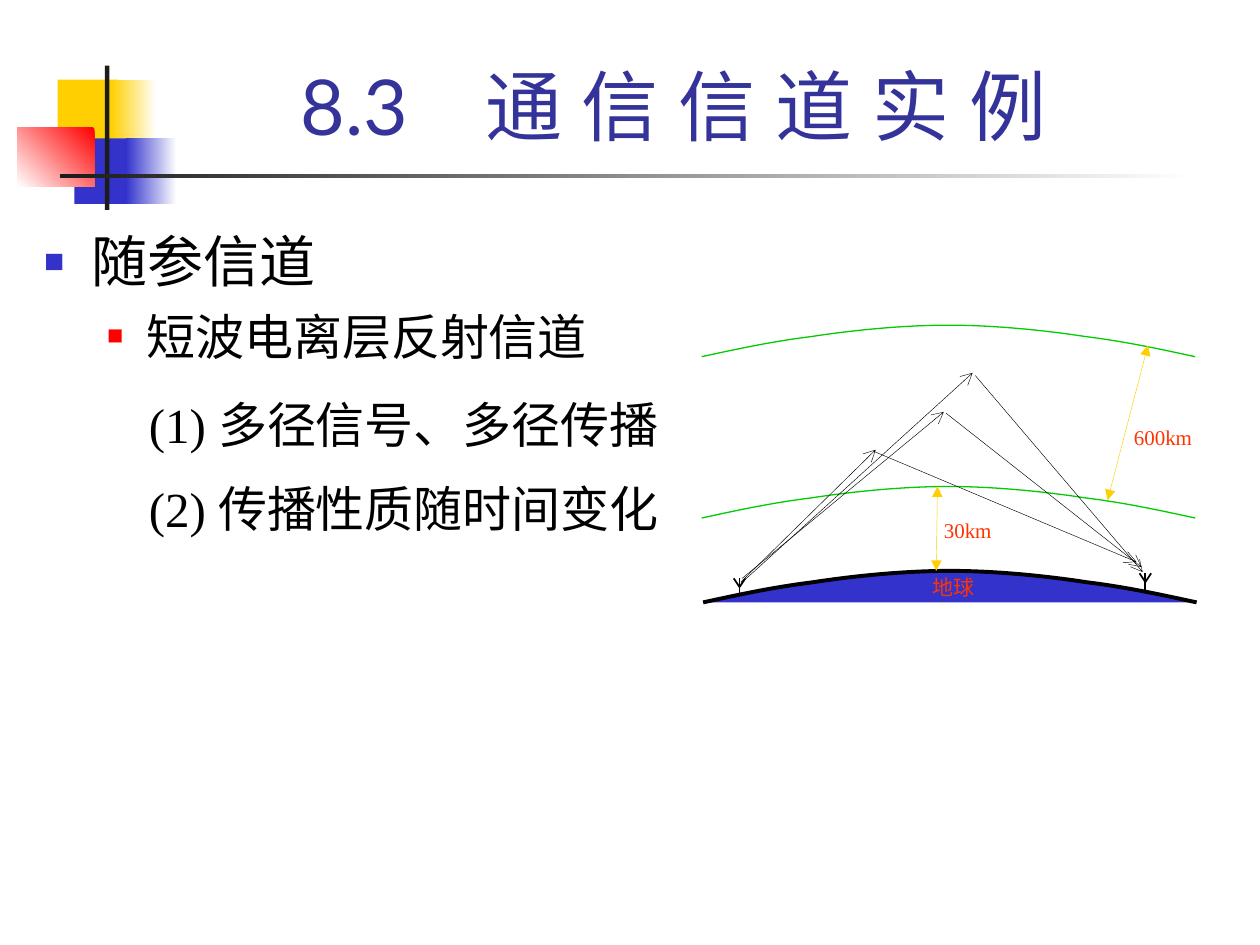
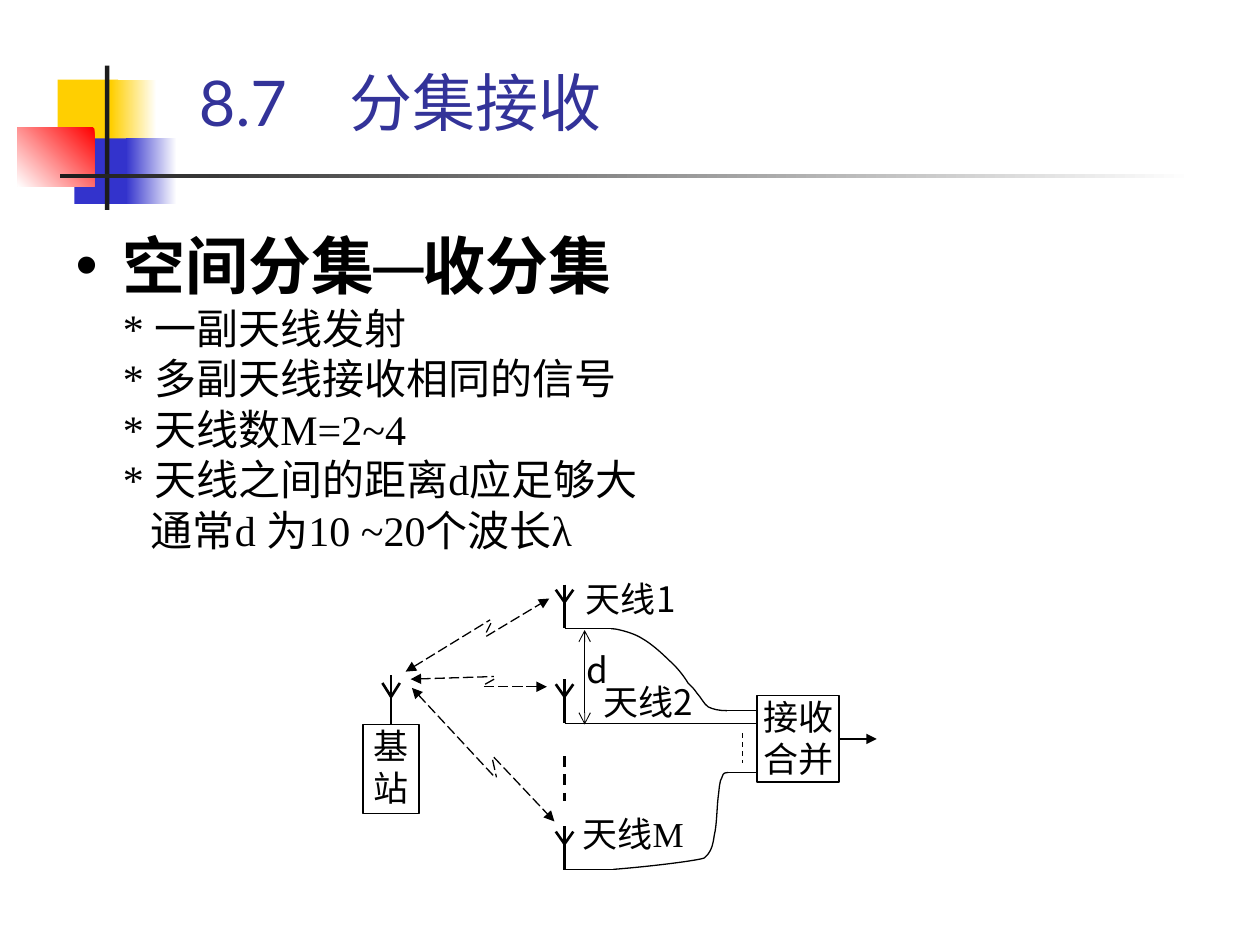
from lxml.etree import SubElement
from pptx import Presentation
from pptx.dml.color import RGBColor
from pptx.enum.dml import MSO_LINE
from pptx.enum.shapes import MSO_CONNECTOR, MSO_SHAPE
from pptx.enum.text import MSO_ANCHOR, MSO_AUTO_SIZE, PP_ALIGN
from pptx.oxml.ns import qn
from pptx.util import Pt

COLORS = {
    "title": "333399", "text": "000000", "blue": "3333CC", "red": "FF0000",
    "yellow": "FFCF01", "white": "FFFFFF", "rule": "1C1C1C",
    "green": "00CC00", "label": "FF3300",
}
LATO, TIMES, CJK = "Lato", "Times New Roman", "Noto Sans CJK SC"


def write(para, text, font=TIMES, size=20, color="text", bold=False):
    span = para.add_run()
    span.text = text
    span.font.size = Pt(size)
    span.font.bold = bold
    span.font.color.rgb = RGBColor.from_string(COLORS[color])
    span.font.name = font
    SubElement(span.font._element, qn("a:ea"), typeface=LATO)


def draw_line(group, x1, y1, x2, y2, color="text", width=0.75, dash=None,
              head=None, tail=None, begin=None, end=None):
    line = group.shapes.add_connector(
        MSO_CONNECTOR.STRAIGHT, Pt(x1), Pt(y1), Pt(x2), Pt(y2))
    if begin:
        line.begin_connect(*begin)
    if end:
        line.end_connect(*end)
    line.line.color.rgb = RGBColor.from_string(COLORS[color])
    line.line.width = Pt(width)
    if dash:
        line.line.dash_style = dash
    for tag, kind in (("a:headEnd", head), ("a:tailEnd", tail)):
        if kind:
            SubElement(line.get_or_add_ln(), qn(tag), type=kind)
    SubElement(line.element.spPr, qn("a:effectLst"))


deck = Presentation()
deck.slide_width, deck.slide_height = Pt(720), Pt(540)
layout = deck.slide_layouts[1]
channel_page = deck.slides.add_slide(layout)
diversity_page = deck.slides.add_slide(layout)

bands = [
    (33, 45.5, 34.5, 37.5, "yellow", None, 0),
    (63.5, 45.5, 26, 37.5, "white", "yellow", 180),
    (42.5, 79, 33, 37.5, "blue", None, 0),
    (72, 79, 29, 37.5, "white", "blue", 180),
    (10, 73, 44, 33.5, "red", "white", 225),
    (60, 37.5, 2.5, 82.5, "rule", None, 0),
    (34.5, 99.5, 648, 2.5, "white", "rule", 180),
]
for left, top, width, height, start, finish, angle in bands:
    band = channel_page.shapes.add_shape(
        MSO_SHAPE.RECTANGLE, Pt(left), Pt(top), Pt(width), Pt(height))
    band.shadow.inherit = False
    band.line.fill.background()
    if finish:
        band.fill.gradient()
        band.fill.gradient_angle = angle
        for stop, name in zip(band.fill.gradient_stops, (start, finish)):
            stop.color.rgb = RGBColor.from_string(COLORS[name])
    else:
        band.fill.solid()
        band.fill.fore_color.rgb = RGBColor.from_string(COLORS[start])
    layout.shapes.element.append(band.element)

titles = [
    (channel_page, 78, 66, PP_ALIGN.CENTER, 44,
     [("8.3　通 信 ", LATO), ("信 道", CJK), (" 实 例", LATO)]),
    (diversity_page, 106.5, 59, PP_ALIGN.LEFT, 36,
     [("8.7　", LATO), ("分集接收", CJK)]),
]
for page, left, height, align, size, spans in titles:
    title = page.shapes.title
    title.left, title.top = Pt(left), Pt(24)
    title.width, title.height = Pt(613.5), Pt(height)
    title.text_frame.auto_size = MSO_AUTO_SIZE.NONE
    title.text_frame.vertical_anchor = MSO_ANCHOR.BOTTOM
    para = title.text_frame.paragraphs[0]
    para.alignment = align
    for text, font in spans:
        write(para, text, font=font, size=size, color="title")

bodies = [
    (channel_page, 18, 687, 90, [
        (0, 27, -27, 0, ("■", "blue", 60), 32, False, [("随参信道", LATO)]),
        (1, 58.5, -22.5, 7, ("■", "red", 55), 28, False,
         [("短波电离层反射信道", TIMES)]),
    ]),
    (diversity_page, 36, 684, 414, [
        (0, 27, -27, 0, ("•", "text", 100), 36, True,
         [("空间分集", CJK), ("─", "Arial"), ("收", TIMES), ("分集", CJK)]),
        (0, 27, 0, 0, None, 24, False, [("* 一副天线发射", TIMES)]),
        (0, 27, 0, 0, None, 24, False, [("* 多副天线接收相同的信号", TIMES)]),
        (0, 27, 0, 0, None, 24, False, [("* 天线数M=2~4", TIMES)]),
        (0, 27, 0, 0, None, 24, False, [("* 天线之间的距离d应足够大", TIMES)]),
        (0, 43, 0, 0, None, 24, False,
         [("通常d 为10 ~20", TIMES), ("个", CJK), ("波长λ", TIMES)]),
    ]),
]
for page, left, width, height, rows in bodies:
    body = page.placeholders[1]
    body.left, body.top = Pt(left), Pt(126)
    body.width, body.height = Pt(width), Pt(height)
    frame = body.text_frame
    frame.auto_size = MSO_AUTO_SIZE.NONE
    for index, (level, margin, indent, before, bullet, size, bold, spans) in enumerate(rows):
        para = frame.add_paragraph() if index else frame.paragraphs[0]
        para.level = level
        para.space_before = Pt(before)
        props = para._p.get_or_add_pPr()
        props.set("marL", str(Pt(margin)))
        props.set("indent", str(Pt(indent)))
        if bullet:
            char, color, percent = bullet
            SubElement(SubElement(props, qn("a:buClr")), qn("a:srgbClr"), val=COLORS[color])
            SubElement(props, qn("a:buSzPct"), val=str(percent * 1000))
            SubElement(props, qn("a:buChar"), char=char)
        else:
            SubElement(props, qn("a:buNone"))
        for text, font in spans:
            write(para, text, font=font, size=size, bold=bold)

ionosphere = channel_page.shapes.add_group_shape()
receiver_net = diversity_page.shapes.add_group_shape()

half_arc = [(0, 18), (20, 13.7), (39.6, 9.4), (62.8, 6.5), (86.2, 2.9), (115, 0), (141, 0)]
arc = half_arc + [(282 - x, y) for x, y in reversed(half_arc[:-1])]
first_feed = [
    (349.2, 359.3), (350.6, 359.3), (351.4, 359.3), (354.2, 360), (357.1, 360.7),
    (362.9, 362.2), (367.2, 365), (372.2, 367.9), (378, 373), (382.3, 377.3),
    (386.6, 380.9), (391, 386.6), (393.1, 390.2), (396, 393.1), (396.7, 393.8),
    (398.2, 396), (400.3, 398.2), (402.5, 402.5), (404.6, 403.9), (407.5, 405.4),
    (411.1, 406.1), (415.4, 406.1),
]
last_feed = [
    (416.2, 441.4), (414.7, 441.4), (413.3, 441.4), (412.6, 444.2), (411.1, 446.4),
    (411.1, 450.7), (410.4, 455.8), (409.7, 461.5), (409.7, 471.6), (408.2, 477.4),
    (407.5, 482.4), (406.8, 485.3), (404.6, 488.2), (402.5, 490.3), (404.6, 490.3),
    (395.3, 491.8), (386.6, 493.2), (368.6, 495.4), (350.6, 496.8),
]
curves = [
    (ionosphere, arc, 401, 278, None, "green", 0.75),
    (ionosphere, arc, 401.8, 326.2, "blue", "text", 2.25),
    (ionosphere, arc, 401, 185.8, None, "green", 0.75),
    (receiver_net, first_feed, 0, 0, None, "text", 0.75),
    (receiver_net, last_feed, 0, 0, None, "text", 0.75),
]
for group, points, left, top, fill, color, width in curves:
    points = [(Pt(left + x), Pt(top + y)) for x, y in points]
    builder = group.shapes.build_freeform(*points[0])
    builder.add_line_segments(points[1:], close=False)
    curve = builder.convert_to_shape()
    curve.shadow.inherit = False
    if fill:
        curve.fill.solid()
        curve.fill.fore_color.rgb = RGBColor.from_string(COLORS[fill])
    else:
        curve.fill.background()
    curve.line.color.rgb = RGBColor.from_string(COLORS[color])
    curve.line.width = Pt(width)
    outline = next(curve.element.iter(qn("a:path")))
    segments = outline.findall(qn("a:lnTo"))
    for index in range(0, len(segments), 3):
        bezier = SubElement(outline, qn("a:cubicBezTo"))
        for segment in segments[index:index + 3]:
            bezier.append(segment[0])
            outline.remove(segment)

rays = [
    (423.4, 332.6, 500.4, 257), (424.1, 330.5, 539.3, 235.4),
    (423.4, 333.4, 555.8, 213.1), (557.3, 214.6, 653, 326.9),
    (540.7, 236.2, 652.3, 324), (499, 257.8, 649.4, 321.1),
]
for ray in rays:
    draw_line(ionosphere, *ray, width=0.25, tail="arrow")
for height_mark in [(535.7, 278, 535, 326.2), (656, 197.3, 632.9, 285.8)]:
    draw_line(ionosphere, *height_mark, color="yellow", width=0.25,
              head="triangle", tail="triangle")

blocks = []
for left, top, width, height, weight, lines in [
    (207.5, 414, 32, 51, 0.75, "基 站"),
    (432.75, 397.5, 46.75, 49.5, 1, "接收 合并"),
]:
    block = receiver_net.shapes.add_shape(
        MSO_SHAPE.RECTANGLE, Pt(left), Pt(top), Pt(width), Pt(height))
    block.shadow.inherit = False
    block.fill.background()
    block.line.color.rgb = RGBColor.from_string(COLORS["text"])
    block.line.width = Pt(weight)
    frame = block.text_frame
    frame.margin_left = frame.margin_top = frame.margin_right = frame.margin_bottom = 0
    frame.vertical_anchor = MSO_ANCHOR.TOP
    for index, text in enumerate(lines.split()):
        para = frame.add_paragraph() if index else frame.paragraphs[0]
        para.alignment = PP_ALIGN.CENTER
        write(para, text, font=CJK)
    blocks.append(block)
station, combiner = blocks

antennas = [
    (ionosphere, 422.6, 330.5, 10, 3.3, 0, 5, 1, None),
    (ionosphere, 654.5, 327.6, 10, 3.3, 0, 5, 1, None),
    (receiver_net, 223.5, 386, 28, 5, 4.3, 12.2, 1.5, (station, 0)),
    (receiver_net, 322.6, 334.1, 25, 5, 2.9, 10, 1.5, None),
    (receiver_net, 322.6, 388.1, 25, 5, 2.9, 10, 1.5, None),
    (receiver_net, 322.6, 472.3, 25, 5, 2.9, 10, 1.5, None),
]
for group, x, top, height, spread, tip, joint, width, foot in antennas:
    draw_line(group, x, top, x, top + height, width=width, end=foot)
    for side in (-spread, spread):
        draw_line(group, x + side, top + tip, x, top + joint, width=width)

radio_links = [
    ((231.8, 383.8, 280.1, 354.2), (277.9, 361.4, 281.5, 354.2), (277.9, 363.6, 313.9, 342)),
    ((234.7, 388.1, 282.2, 386.6), (277.2, 391, 283.7, 387.4), (276.5, 392.4, 312.5, 392.4)),
    ((235.4, 393.1, 282.2, 443.5), (281.5, 434.2, 283.7, 444.2), (282.2, 432.7, 316.8, 469.4)),
]
for station_part, break_mark, antenna_part in radio_links:
    draw_line(receiver_net, *station_part, dash=MSO_LINE.LONG_DASH, head="triangle")
    draw_line(receiver_net, *break_mark, dash=MSO_LINE.LONG_DASH)
    draw_line(receiver_net, *antenna_part, dash=MSO_LINE.LONG_DASH, tail="triangle")

for x1, x2, y in [(322.6, 350.6, 359.3), (322.6, 432, 413.3), (322.6, 350.6, 496.8),
                  (415.4, 432, 406.1), (415.4, 432, 441.4)]:
    draw_line(receiver_net, x1, y, x2, y)
draw_line(receiver_net, 334.1, 360, 334.1, 414, width=0.5, head="arrow", tail="arrow")
draw_line(receiver_net, 322.6, 432, 322.6, 458, width=1.5, dash=MSO_LINE.DASH)
draw_line(receiver_net, 424.1, 419, 424.1, 436.3, dash=MSO_LINE.DASH)
draw_line(receiver_net, 479.5, 422.25, 501, 422.25, width=1, tail="triangle",
          begin=(combiner, 3))

labels = [
    (ionosphere, 525.6, 328.3, 39, 12, 12, "label", [("地球", TIMES)]),
    (ionosphere, 533.5, 296, 39, 12, 12, "label", [("30km", TIMES)]),
    (ionosphere, 645.1, 242.6, 39, 12, 12, "label", [("600km", TIMES)]),
    (receiver_net, 333.4, 329.8, 54, 26, 20, "text", [("天线1", CJK)]),
    (receiver_net, 343.4, 388.8, 54, 26, 20, "text", [("天线2", CJK)]),
    (receiver_net, 329.8, 464.4, 64, 26, 20, "text", [("天线", CJK), ("M", TIMES)]),
    (receiver_net, 332.6, 370.8, 18, 26, 20, "text", [("d", CJK)]),
    (channel_page, 78, 222, 324, 42, 28, "text", [("(1) 多径信号、多径传播", TIMES)]),
    (channel_page, 78, 270, 318, 48, 28, "text", [("(2) 传播性质随时间变化", TIMES)]),
]
for holder, left, top, width, height, size, color, spans in labels:
    box = holder.shapes.add_textbox(Pt(left), Pt(top), Pt(width), Pt(height))
    frame = box.text_frame
    frame.word_wrap = True
    para = frame.paragraphs[0]
    if holder is not channel_page:
        frame.margin_left = frame.margin_top = frame.margin_right = frame.margin_bottom = 0
        para.alignment = PP_ALIGN.CENTER
    for text, font in spans:
        write(para, text, font=font, size=size, color=color)

deck.save("out.pptx")
